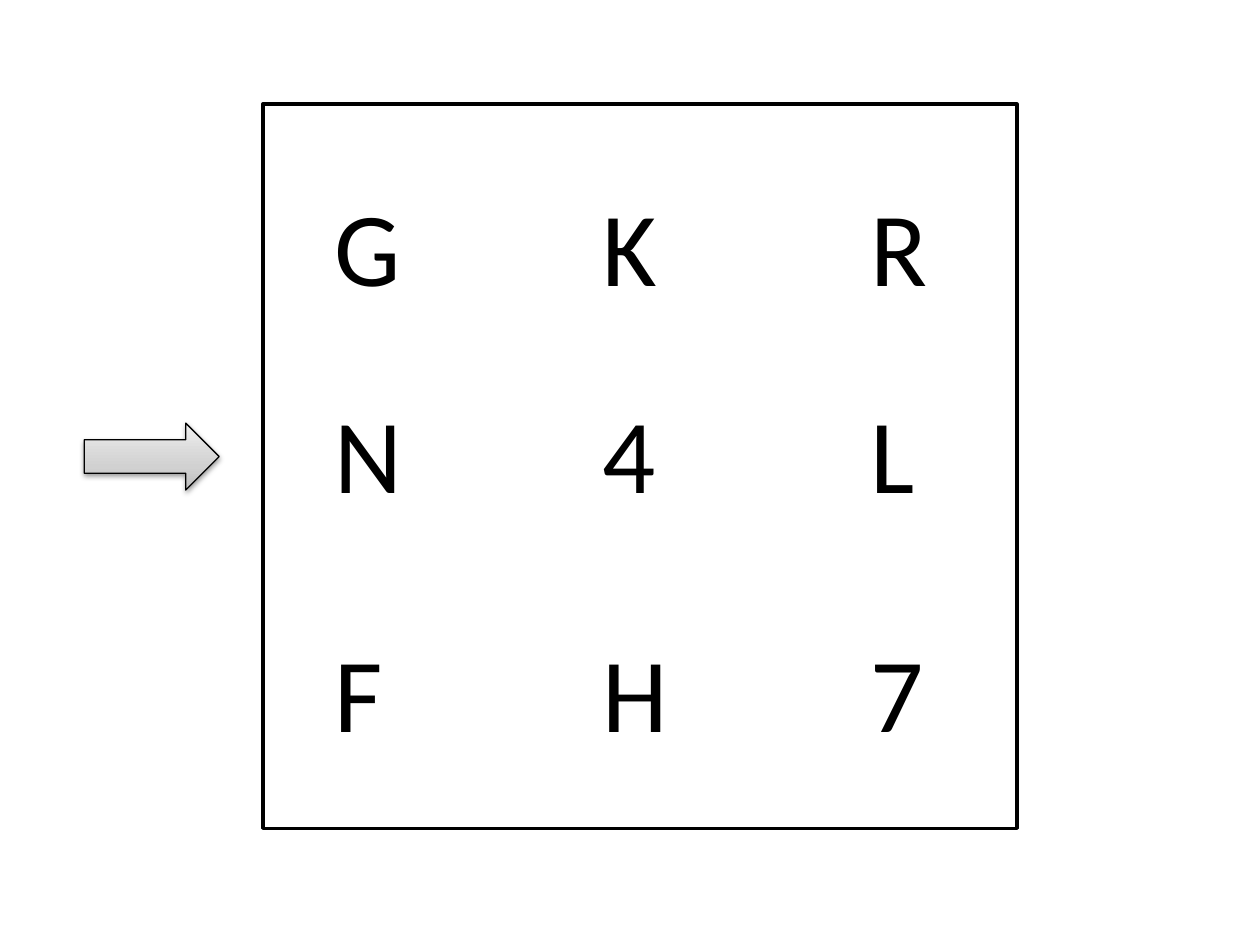
from copy import deepcopy
from pptx import Presentation
from pptx import util as u
from pptx.dml.color import RGBColor
from pptx.enum import shapes, text
from pptx.oxml import parse_xml
from pptx.oxml.ns import nsdecls, qn

BLACK = RGBColor(0x00, 0x00, 0x00)
WHITE = RGBColor(0xFF, 0xFF, 0xFF)
DARK = RGBColor(0xBD, 0xBD, 0xBD)
MID = RGBColor(0xD1, 0xD1, 0xD1)
LIGHT = RGBColor(0xEE, 0xEE, 0xEE)

deck = Presentation()
deck.slide_width = u.Cm(25.4)
deck.slide_height = u.Cm(19.05)
slide = deck.slides.add_slide(deck.slide_layouts[6])

grid = slide.shapes.add_group_shape()
frame = grid.shapes.add_shape(
    shapes.MSO_SHAPE.RECTANGLE, u.Cm(5.3), u.Cm(2.1), u.Cm(15.2), u.Cm(14.6))
frame.shadow.inherit = False
frame.fill.solid()
frame.fill.fore_color.rgb = WHITE
frame.line.color.rgb = BLACK
frame.line.width = u.Pt(2)

rows = [(3.53, "GKR"), (7.7, "N4L"), (12.52, "FH7")]
for top, signs in rows:
    for col, sign in enumerate(signs):
        box = grid.shapes.add_textbox(
            u.Cm(6.5 + 5.4 * col), u.Cm(top), u.Cm(2), u.Cm(2.82))
        body = box.text_frame
        body.word_wrap = True
        body.auto_size = text.MSO_AUTO_SIZE.SHAPE_TO_FIT_TEXT
        run = body.paragraphs[0].add_run()
        run.text = sign
        run.font.name = "Calibri"
        run.font.size = u.Pt(60)
        run.font.color.rgb = BLACK

arrow = slide.shapes.add_shape(
    shapes.MSO_SHAPE.RIGHT_ARROW, u.Cm(1.7), u.Cm(8.53), u.Cm(2.72), u.Cm(1.35))
arrow.line.color.rgb = BLACK
arrow.line.width = u.Pt(0.75)
arrow.fill.gradient()
arrow.fill.gradient_angle = 90
props = arrow._element.spPr
first = props.find(".//" + qn("a:gs"))
first.addnext(deepcopy(first))
tones = [(0, DARK), (0.35, MID), (1, LIGHT)]
for stop, (place, tone) in zip(arrow.fill.gradient_stops, tones):
    stop.position = place
    stop.color.rgb = tone

arrow.shadow.inherit = False
props.find(qn("a:effectLst")).append(parse_xml(
    f'<a:outerShdw {nsdecls("a")} blurRad="40000" dist="20000" dir="5400000" '
    'rotWithShape="0"><a:srgbClr val="000000"><a:alpha val="38000"/>'
    '</a:srgbClr></a:outerShdw>'))

deck.save("out.pptx")
